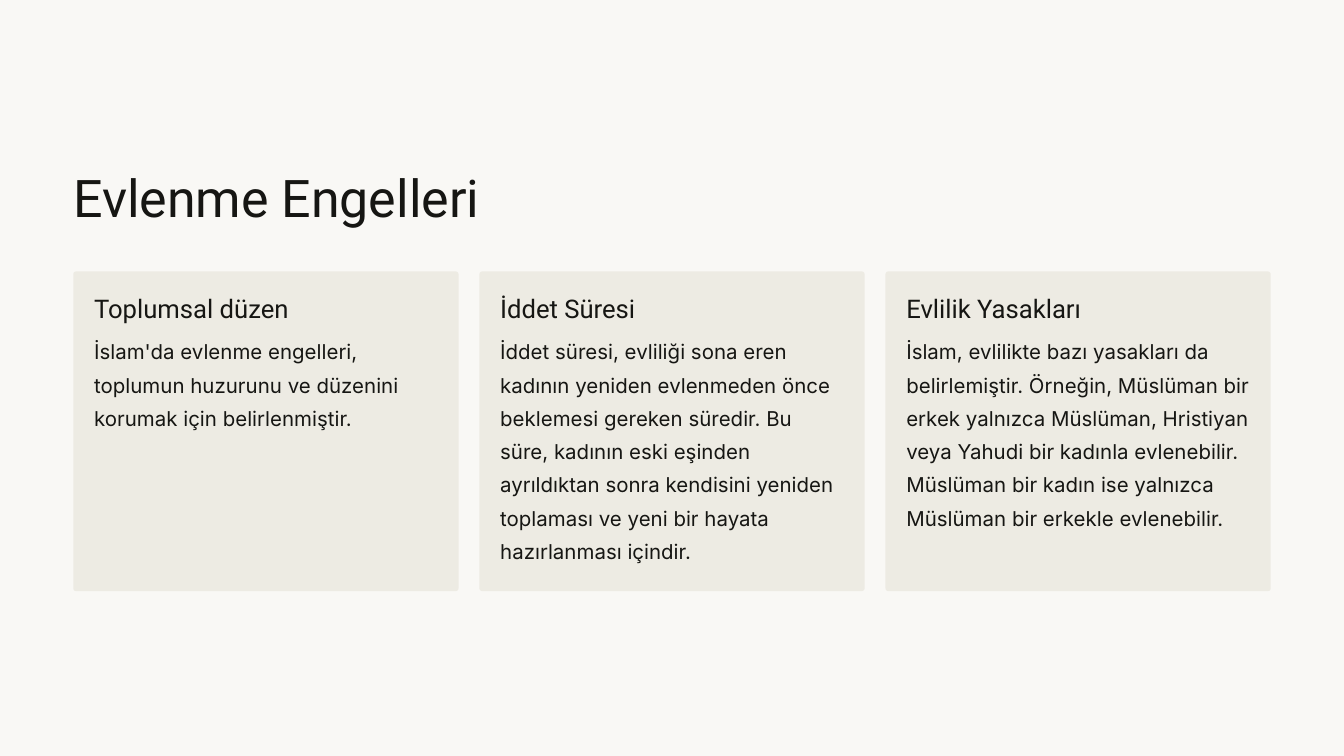
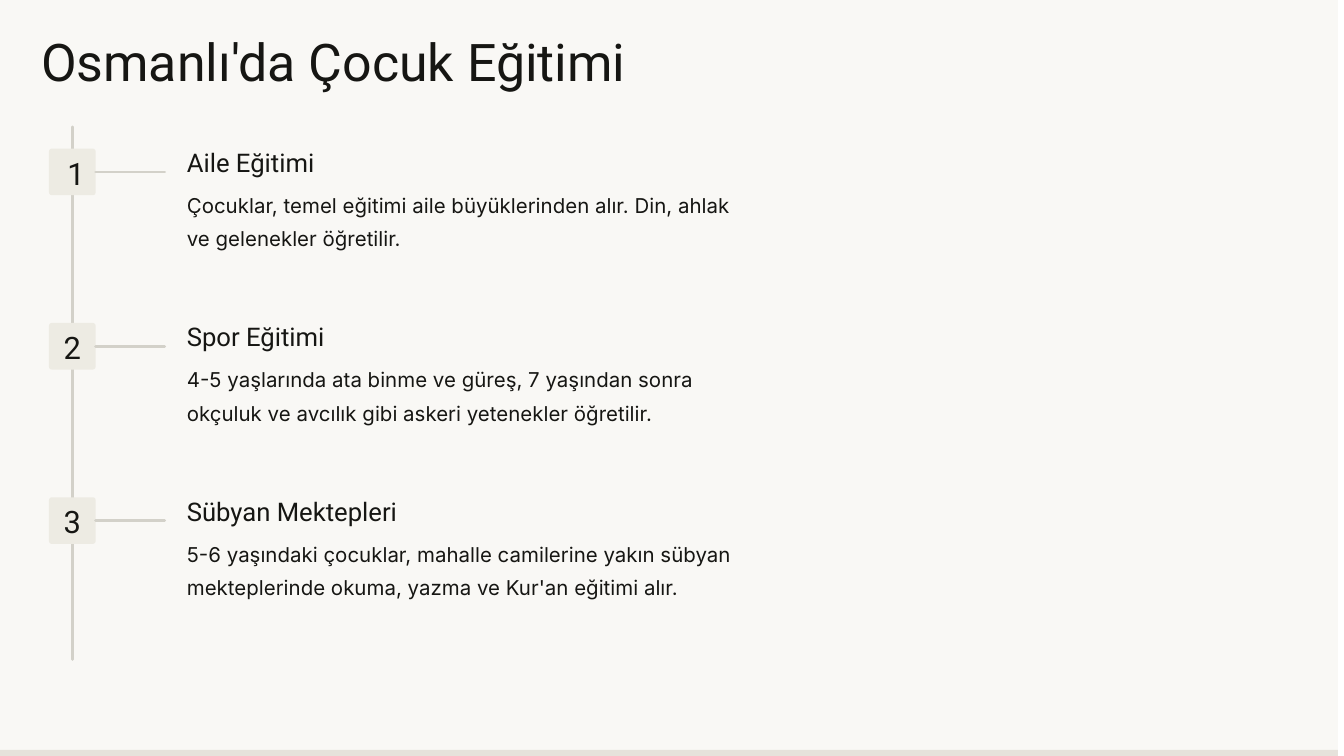
from dataclasses import dataclass

from lxml.etree import SubElement
from pptx import Presentation
from pptx.dml.color import RGBColor
from pptx.enum.shapes import MSO_CONNECTOR, MSO_SHAPE
from pptx.enum.text import PP_ALIGN
from pptx.oxml.ns import qn
from pptx.presentation import Presentation as Deck
from pptx.shapes.autoshape import Shape
from pptx.shapes.connector import Connector
from pptx.slide import Slide
from pptx.util import Pt

COLORS = {
    "paper": "F9F8F5",
    "band": "E6E2DB",
    "panel": "EDEBE3",
    "rule": "D3D1C9",
    "ink": "161613",
}
PAGE_WIDTH, PAGE_HEIGHT = 1440, 810
CORNER_RADIUS = 3.1
RULE_WEIGHT = 3


@dataclass(frozen=True)
class TextStyle:
    font: str
    size: float
    line: float
    align: PP_ALIGN = PP_ALIGN.LEFT


@dataclass(frozen=True)
class Topic:
    heading: str
    body: str
    body_height: float


@dataclass(frozen=True)
class Step:
    topic: Topic
    number: str
    number_width: float


TITLE = TextStyle("Roboto", 55.6, 69.4)
HEADING = TextStyle("Roboto", 27.5, 34.4)
BODY = TextStyle("Inter", 21.9, 35.6)
NUMBER = TextStyle("Roboto", 33.1, 33.1, PP_ALIGN.CENTER)

OBSTACLES = [
    Topic(
        "Toplumsal düzen",
        "İslam'da evlenme engelleri, toplumun huzurunu ve düzenini korumak için belirlenmiştir.",
        114,
    ),
    Topic(
        "İddet Süresi",
        "İddet süresi, evliliği sona eren kadının yeniden evlenmeden önce beklemesi gereken süredir. "
        "Bu süre, kadının eski eşinden ayrıldıktan sonra kendisini yeniden toplaması ve yeni bir "
        "hayata hazırlanması içindir.",
        257,
    ),
    Topic(
        "Evlilik Yasakları",
        "İslam, evlilikte bazı yasakları da belirlemiştir. Örneğin, Müslüman bir erkek yalnızca "
        "Müslüman, Hristiyan veya Yahudi bir kadınla evlenebilir. Müslüman bir kadın ise yalnızca "
        "Müslüman bir erkekle evlenebilir.",
        257,
    ),
]

STEPS = [
    Step(
        Topic(
            "Aile Eğitimi",
            "Çocuklar, temel eğitimi aile büyüklerinden alır. Din, ahlak ve gelenekler öğretilir.",
            78.5,
        ),
        "1",
        10.8,
    ),
    Step(
        Topic(
            "Spor Eğitimi",
            "4-5 yaşlarında ata binme ve güreş, 7 yaşından sonra okçuluk ve avcılık gibi askeri "
            "yetenekler öğretilir.",
            78.5,
        ),
        "2",
        19.6,
    ),
    Step(
        Topic(
            "Sübyan Mektepleri",
            "5-6 yaşındaki çocuklar, mahalle camilerine yakın sübyan mekteplerinde okuma, yazma ve "
            "Kur'an eğitimi alır.",
            114,
        ),
        "3",
        19.6,
    ),
]


def color(name: str) -> RGBColor:
    return RGBColor.from_string(COLORS[name])


def add_block(page: Slide, left: float, top: float, width: float, height: float,
              fill: str, radius: float = 0) -> Shape:
    kind = MSO_SHAPE.ROUNDED_RECTANGLE if radius else MSO_SHAPE.RECTANGLE
    block = page.shapes.add_shape(kind, Pt(left), Pt(top), Pt(width), Pt(height))
    if radius:
        block.adjustments[0] = radius / min(width, height)
    block.shadow.inherit = False
    block.fill.solid()
    block.fill.fore_color.rgb = color(fill)
    block.line.fill.background()
    return block


def add_text(page: Slide, text: str, style: TextStyle, left: float, top: float,
             width: float, height: float) -> None:
    box = page.shapes.add_textbox(Pt(left), Pt(top), Pt(width), Pt(height))
    frame = box.text_frame
    frame.word_wrap = True
    frame.margin_left = frame.margin_right = frame.margin_top = frame.margin_bottom = 0
    para = frame.paragraphs[0]
    para.alignment = style.align
    para.line_spacing = Pt(style.line)
    span = para.add_run()
    span.text = text
    span.font.name = style.font
    span.font.size = Pt(style.size)
    span.font.color.rgb = color("ink")


def add_rule(page: Slide, left: float, top: float, right: float, bottom: float) -> Connector:
    rule = page.shapes.add_connector(
        MSO_CONNECTOR.STRAIGHT, Pt(left), Pt(top), Pt(right), Pt(bottom))
    rule.line.color.rgb = color("rule")
    rule.line.width = Pt(RULE_WEIGHT)
    rule.line._get_or_add_ln().set("cap", "rnd")
    SubElement(rule._element.spPr, qn("a:effectLst"))
    return rule


def add_topic(page: Slide, topic: Topic, left: float, top: float, width: float) -> None:
    add_text(page, topic.heading, HEADING, left, top, 279.4, 35)
    add_text(page, topic.body, BODY, left, top + 42, width, topic.body_height)


def add_page(deck: Deck, paper_width: float, paper_height: float) -> Slide:
    page = deck.slides.add_slide(deck.slide_layouts[6])
    add_block(page, 0, 0, paper_width, paper_height, "paper")
    if paper_height < PAGE_HEIGHT:
        add_block(page, 0, paper_height, paper_width, PAGE_HEIGHT - paper_height, "band")
    return page


def build_obstacles(deck: Deck) -> None:
    page = add_page(deck, PAGE_WIDTH, PAGE_HEIGHT)
    margin, gap, padding = 78.5, 22.3, 22.3
    card_top, card_height = 290.8, 342.6
    card_width = (PAGE_WIDTH - 2 * margin - gap * (len(OBSTACLES) - 1)) / len(OBSTACLES)
    add_text(page, "Evlenme Engelleri", TITLE, margin, 175, 558, 71.3)
    for index, topic in enumerate(OBSTACLES):
        left = margin + index * (card_width + gap)
        add_block(page, left, card_top, card_width, card_height, "panel", CORNER_RADIUS)
        add_topic(page, topic, left + padding, card_top + 21.7, card_width - 2 * padding)


def build_education(deck: Deck) -> None:
    page = add_page(deck, 1433.5, 803.5)
    badge_left, badge_top, badge_size, pitch = 52.5, 159.2, 50, 186.8
    axis = badge_left + badge_size / 2
    add_text(page, "Osmanlı'da Çocuk Eğitimi", TITLE, 44, 29.5, 662.4, 71.3)
    add_rule(page, axis, 136, axis, 706.5)
    for index, step in enumerate(STEPS):
        top = badge_top + index * pitch
        middle = top + badge_size / 2
        badge = add_block(page, badge_left, top, badge_size, badge_size, "panel", CORNER_RADIUS)
        branch = add_rule(page, badge_left + badge_size, middle, 176.5, middle)
        branch.begin_connect(badge, 3)
        add_text(page, step.number, NUMBER, axis - step.number_width / 2, top + 12.8,
                 step.number_width, 28.8)
        add_topic(page, step.topic, 200.2, top - 3.5, 587.5)


def main() -> None:
    deck = Presentation()
    deck.slide_width, deck.slide_height = Pt(PAGE_WIDTH), Pt(PAGE_HEIGHT)
    build_obstacles(deck)
    build_education(deck)
    deck.save("out.pptx")


if __name__ == "__main__":
    main()
